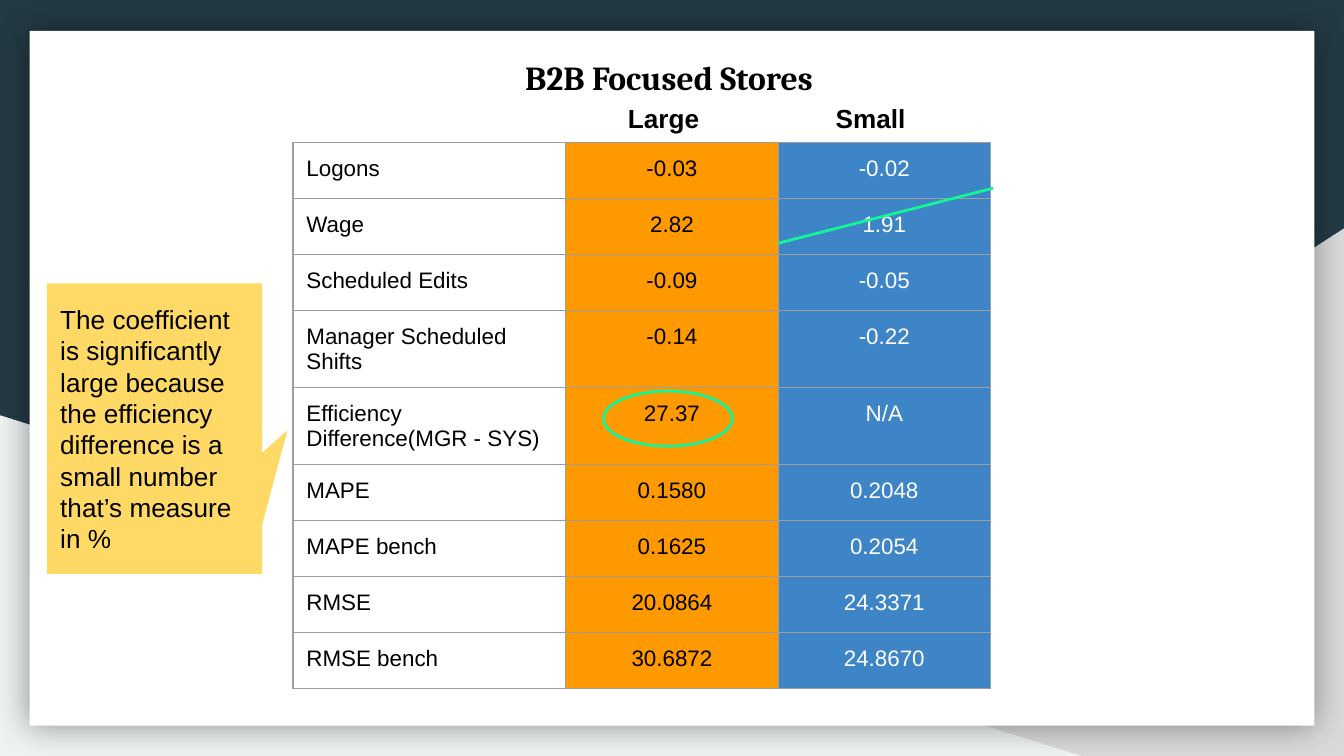
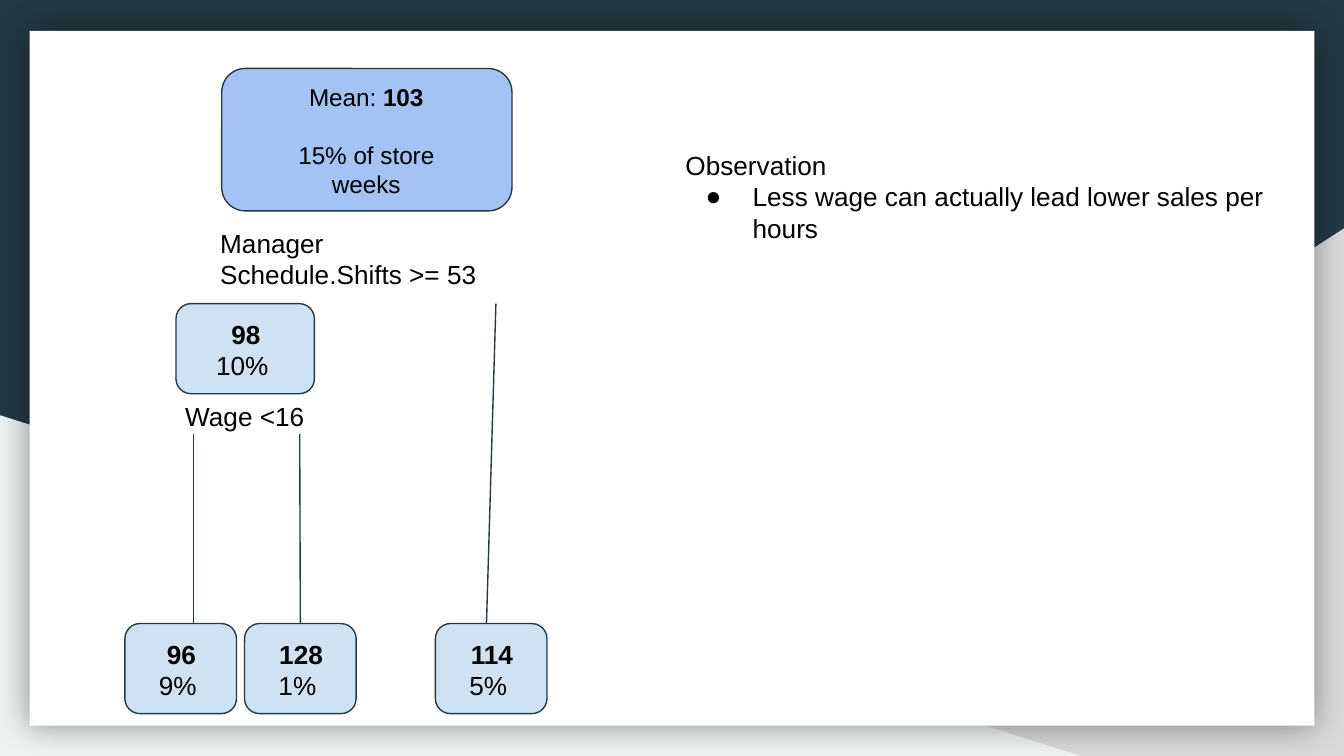
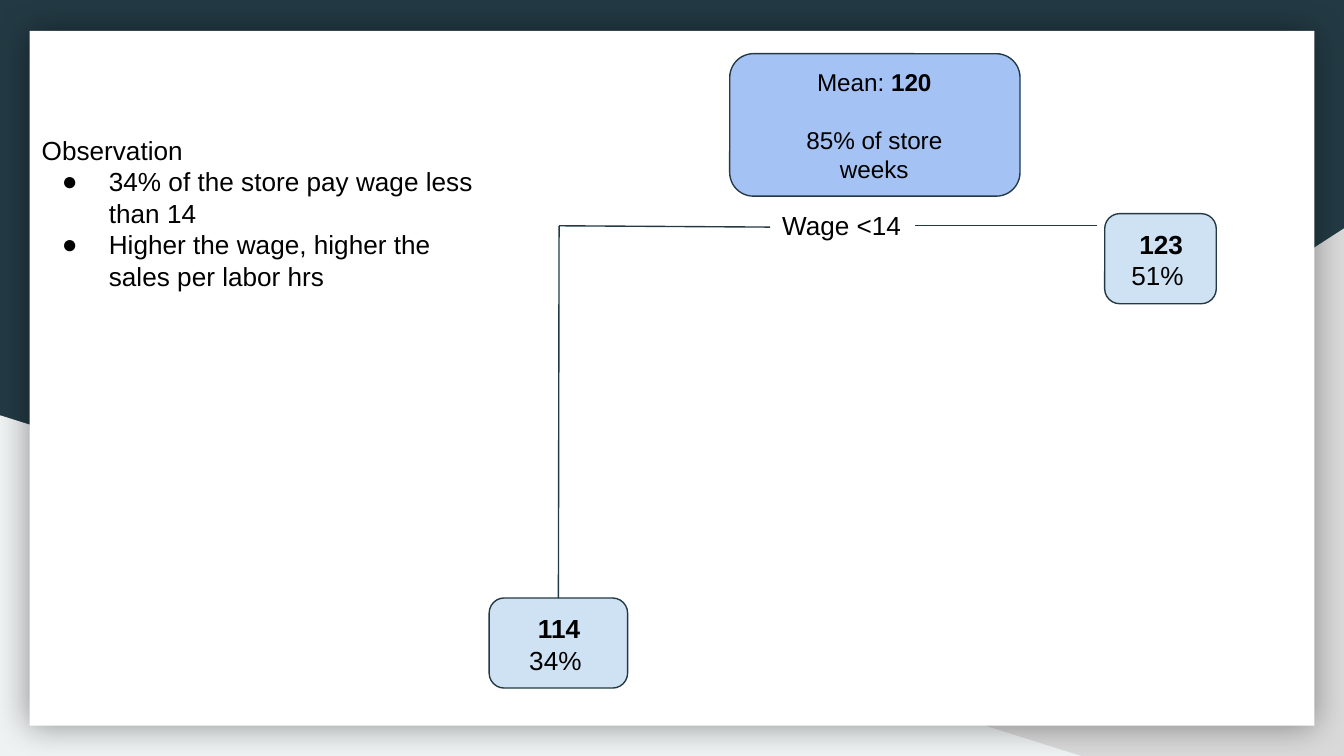
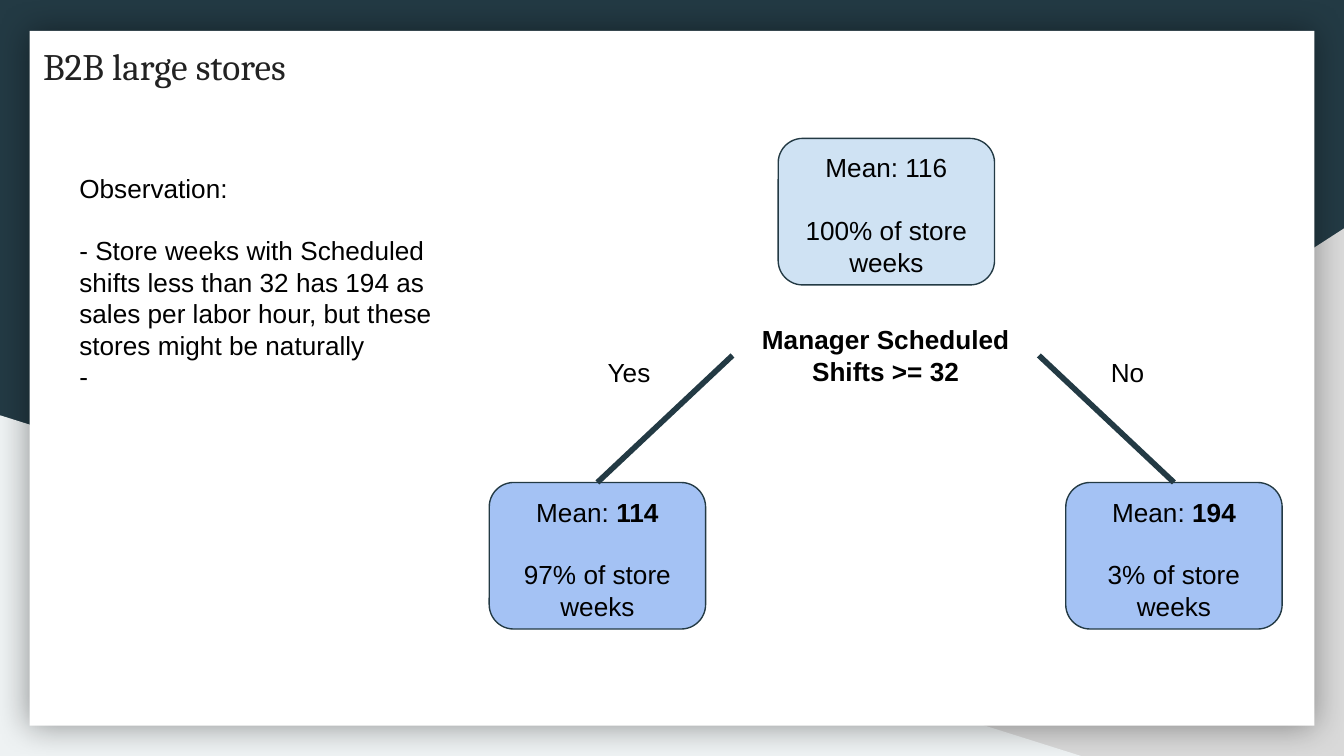
from lxml import etree
from pptx import Presentation
from pptx.dml.color import RGBColor
from pptx.enum.shapes import MSO_CONNECTOR, MSO_SHAPE
from pptx.enum.text import MSO_ANCHOR, MSO_AUTO_SIZE, PP_ALIGN
from pptx.oxml.ns import qn
from pptx.util import Inches, Pt

NAVY = RGBColor(0x23, 0x3A, 0x44)
GREY = RGBColor(0xD9, 0xD9, 0xD9)
MIST = RGBColor(0xEE, 0xF2, 0xF3)
WHITE = RGBColor(0xFF, 0xFF, 0xFF)
BLACK = RGBColor(0x00, 0x00, 0x00)
INK = RGBColor(0x22, 0x22, 0x22)
PALE = RGBColor(0xCF, 0xE2, 0xF3)
BLUE = RGBColor(0xA4, 0xC2, 0xF4)
ORANGE = RGBColor(0xFF, 0x99, 0x00)
AZURE = RGBColor(0x3D, 0x85, 0xC6)
GREEN = RGBColor(0x14, 0xF5, 0x97)
YELLOW = RGBColor(0xFF, 0xD9, 0x66)
RULE = RGBColor(0x9E, 0x9E, 0x9E)

LEFT, CENTER = PP_ALIGN.LEFT, PP_ALIGN.CENTER
TOP, MIDDLE = MSO_ANCHOR.TOP, MSO_ANCHOR.MIDDLE
FIXED, GROW = MSO_AUTO_SIZE.NONE, MSO_AUTO_SIZE.SHAPE_TO_FIT_TEXT
STRAIGHT = MSO_CONNECTOR.STRAIGHT
RECT, ROUND = MSO_SHAPE.RECTANGLE, MSO_SHAPE.ROUNDED_RECTANGLE
WEDGE, OVAL = MSO_SHAPE.RECTANGULAR_CALLOUT, MSO_SHAPE.OVAL
SLOPE = MSO_SHAPE.RIGHT_TRIANGLE

BACK = [
    (SLOPE, (3.92, 1.7, 6.08, 3.93), GREY),
    (SLOPE, (0, 3.09, 8.06, 2.54), MIST),
    (RECT, (0.22, 0.23, 9.56, 5.17), WHITE),
]

HEADS = [("Large ", 4.3), ("Small ", 5.84)]
ROWS = [
    ("Logons", "-0.03", "-0.02"),
    ("Wage", "2.82", "1.91"),
    ("Scheduled Edits", "-0.09", "-0.05"),
    ("Manager Scheduled Shifts", "-0.14", "-0.22"),
    ("Efficiency Difference(MGR - SYS)", "27.37", "N/A"),
    ("MAPE", "0.1580", "0.2048"),
    ("MAPE bench", "0.1625", "0.2054"),
    ("RMSE", "20.0864", "24.3371"),
    ("RMSE bench", "30.6872", "24.8670"),
]
COLS = [
    (2.03, LEFT, BLACK, None),
    (1.58, CENTER, BLACK, ORANGE),
    (1.58, CENTER, WHITE, AZURE),
]
NOTE = ("The coefficient is significantly large because the efficiency "
        "difference is a small number that’s measure in %")

TREES = [
    {
        "root": (1.65, 0.51, "103", "15% of store weeks"),
        "tests": [("Manager Schedule.Shifts >= 53", (1.54, 1.59, 2.36, 0.67)),
                  ("Wage <16", (1.28, 2.88, 1.1, 0.44))],
        "nodes": [(1.31, 2.26, 1.03, "98", "10% "),
                  (0.93, 4.64, 0.83, "96", "9% "),
                  (1.82, 4.64, 0.83, "128", "1% "),
                  (3.24, 4.64, 0.83, "114", "5% ")],
        "lines": [((3.69, 2.26), (3.62, 4.64), None),
                  ((1.44, 3.23), (1.44, 4.64), None),
                  ((2.23, 3.23), (2.23, 4.64), 2)],
        "body": (5, 1.01, 4.72, 1.14),
        "notes": ["Observation",
                  "Less wage can actually lead lower sales per hours"],
    },
    {
        "root": (5.43, 0.4, "120", "85% of store weeks"),
        "tests": [("Wage <14", (5.72, 1.46, 1.58, 0.44))],
        "nodes": [(3.64, 4.45, 1.03, "114", "34% "),
                  (8.22, 1.59, 0.83, "123", "51% ")],
        "lines": [((4.16, 1.68), (4.16, 4.45), 0),
                  ((4.16, 1.68), (5.73, 1.69), None),
                  ((6.81, 1.68), (8.16, 1.68), None)],
        "body": (0.21, 0.9, 3.44, 1.62),
        "notes": ["Observation",
                  "34% of the store pay wage less than 14",
                  "Higher the wage, higher the sales per labor hrs"],
    },
]

SPLIT = [
    (5.79, 1.03, PALE, "Mean: 116", "100% of store weeks"),
    (3.64, 3.59, BLUE, ("Mean: ", "114"), "97% of store weeks"),
    (7.93, 3.59, BLUE, ("Mean: ", "194"), "3% of store weeks"),
]
SIDES = [("Yes", 4.32, 1), ("No", 8.03, 3)]
LARGE = [
    "Observation:",
    "- Store weeks with Scheduled shifts less than 32 has 194 as sales per "
    "labor hour, but these stores might be naturally",
    "-",
]


def area(box):
    return [Inches(n) for n in box]


def put(shape, box):
    shape.left, shape.top, shape.width, shape.height = area(box)


def style(run, size, bold=False, color=BLACK, face="Arial"):
    font = run.font
    font.size, font.bold, font.name = Pt(size), bold, face
    font.color.rgb = color


def write(frame, paras, size=14, align=LEFT, bold=False, color=BLACK,
          face="Arial", gap=False, anchor=TOP, fit=FIXED):
    frame.word_wrap, frame.auto_size = True, fit
    frame.vertical_anchor = anchor
    frame.margin_left = frame.margin_right = Inches(0.1)
    frame.margin_top = frame.margin_bottom = Inches(0.1)
    for i, item in enumerate(paras):
        para = frame.add_paragraph() if i else frame.paragraphs[0]
        plain, strong = item if isinstance(item, tuple) else (item, "")
        para.text = plain
        para.alignment = align
        para.space_before = Pt(size * 1.2 if gap and i == 1 else 0)
        for run in para.runs:
            style(run, size, bold, color, face)
        if strong:
            run = para.add_run()
            run.text = strong
            style(run, size, True, color, face)


def label(slide, box, paras, fit=GROW, **look):
    text = slide.shapes.add_textbox(*area(box))
    write(text.text_frame, paras, fit=fit, **look)
    return text


def draw(slide, kind, box, fill=None, line=None, width=0.75):
    shape = slide.shapes.add_shape(kind, *area(box))
    shape.shadow.inherit = False
    if fill is None:
        shape.fill.background()
    else:
        shape.fill.solid()
        shape.fill.fore_color.rgb = fill
    if line is None:
        shape.line.fill.background()
    else:
        shape.line.color.rgb = line
        shape.line.width = Pt(width)
    return shape


def link(slide, start, end, color=NAVY, width=0.75):
    line = slide.shapes.add_connector(STRAIGHT, *area(start + end))
    line.line.color.rgb = color
    line.line.width = Pt(width)
    etree.SubElement(line.element.spPr, qn("a:effectLst"))
    return line


def title(slide, box, text, **look):
    head = slide.shapes.title
    put(head, box)
    write(head.text_frame, [text], face="Cambria", **look)


def bullet(para, on):
    props = para._p.get_or_add_pPr()
    props.set("marL", str(Inches(0.5) if on else 0))
    props.set("indent", str(Inches(-0.35) if on else 0))
    if not on:
        etree.SubElement(props, qn("a:buNone"))
        return
    tint = etree.SubElement(props, qn("a:buClr"))
    etree.SubElement(tint, qn("a:srgbClr"), val=str(BLACK))
    etree.SubElement(props, qn("a:buFont"), typeface="Arial")
    etree.SubElement(props, qn("a:buChar"), char="●")


def notes(slide, box, paras, dots=True, gap=False):
    body = slide.placeholders[1]
    put(body, box)
    write(body.text_frame, paras, gap=gap)
    for i, para in enumerate(body.text_frame.paragraphs):
        bullet(para, dots and i > 0)


def backdrop(master, slide):
    fill = master.background.fill
    fill.solid()
    fill.fore_color.rgb = NAVY
    parts = [draw(slide, *part) for part in BACK]
    parts[0].element.spPr.find(qn("a:xfrm")).set("flipH", "1")
    glow = etree.SubElement(parts[2].element.spPr.find(qn("a:effectLst")),
                            qn("a:outerShdw"), blurRad=str(Pt(18)), dist="0")
    tint = etree.SubElement(glow, qn("a:srgbClr"), val=str(BLACK))
    etree.SubElement(tint, qn("a:alpha"), val="40000")
    for i, part in enumerate(parts):
        part.element.nvSpPr.cNvPr.set("id", str(20 + i))
        master.shapes.element.insert(2 + i, part.element)


def border(cell):
    props = cell._tc.get_or_add_tcPr()
    for i, side in enumerate(("lnL", "lnR", "lnT", "lnB")):
        edge = etree.Element(qn("a:" + side), w=str(Pt(0.75)))
        solid = etree.SubElement(edge, qn("a:solidFill"))
        etree.SubElement(solid, qn("a:srgbClr"), val=str(RULE))
        props.insert(i, edge)


def grid(slide):
    box = (2.18, 1.06, 3.28, 3.28)
    frame = slide.shapes.add_table(len(ROWS), len(COLS), *area(box))
    table = frame.table
    table.first_row = table.horz_banding = False
    for c, (width, align, color, fill) in enumerate(COLS):
        table.columns[c].width = Inches(width)
        for r, row in enumerate(ROWS):
            table.rows[r].height = Pt(30)
            cell = table.cell(r, c)
            cell.margin_left = cell.margin_right = Inches(0.1)
            cell.margin_top = cell.margin_bottom = Inches(0.1)
            para = cell.text_frame.paragraphs[0]
            para.text = row[c]
            para.alignment = align
            style(para.runs[0], 12, color=color)
            if fill is None:
                cell.fill.background()
            else:
                cell.fill.solid()
                cell.fill.fore_color.rgb = fill
            border(cell)
    put(frame, box)


def stores(slide):
    title(slide, (0.9, 0.32, 8.21, 0.41), "B2B Focused Stores ",
          size=18, align=CENTER, bold=True)
    for text, x in HEADS:
        label(slide, (x, 0.66, 1.33, 0.41), [text], FIXED,
              align=CENTER, bold=True)
    grid(slide)
    link(slide, (5.79, 1.81), (7.39, 1.4), GREEN, 1.5)
    draw(slide, OVAL, (4.49, 2.91, 0.96, 0.41), line=GREEN, width=1.5)
    note = draw(slide, WEDGE, (0.35, 2.11, 1.6, 2.16), YELLOW)
    note.adjustments[0], note.adjustments[1] = 0.618, 0.006
    write(note.text_frame, [NOTE], anchor=MIDDLE)


def tree(slide, data):
    head = slide.shapes.title.element
    head.getparent().remove(head)
    x, y, mean, share = data["root"]
    draw(slide, ROUND, (x, y, 2.16, 1.06), BLUE, NAVY)
    label(slide, (x + 0.24, y, 1.67, 1.08), [("Mean: ", mean), share],
          size=13, align=CENTER, gap=True)
    for text, box in data["tests"]:
        label(slide, box, [text])
    nodes = []
    for x, y, wide, mean, share in data["nodes"]:
        nodes.append(draw(slide, ROUND, (x, y, wide, 0.67), PALE, NAVY))
        label(slide, (x + 0.06, y + 0.01, wide - 0.11, 0.67),
              [("", mean), share], align=CENTER)
    for start, end, node in data["lines"]:
        line = link(slide, start, end)
        if node is not None:
            line.end_connect(nodes[node], 0)
    notes(slide, data["body"], data["notes"])


def split(slide):
    title(slide, (0.22, 0.22, 7.83, 0.93), "B2B large stores",
          size=20, color=INK)
    boxes = []
    for x, y, fill, mean, share in SPLIT:
        boxes.append(draw(slide, ROUND, (x, y, 1.61, 1.09), fill, NAVY))
        label(slide, (x + 0.1, y, 1.41, 1.14), [mean, share],
              align=CENTER, gap=True)
    test = label(slide, (5.45, 2.31, 2.28, 0.67),
                 ["Manager Scheduled Shifts >= 32"], align=CENTER, bold=True)
    for (text, x, side), box in zip(SIDES, boxes[1:]):
        label(slide, (x, 2.55, 0.72, 0.44), [text], align=CENTER)
        line = link(slide, (0, 0), (1, 1), width=3)
        line.begin_connect(test, side)
        line.end_connect(box, 0)
    notes(slide, (0.49, 1.18, 2.88, 3.27), LARGE, dots=False, gap=True)


def main():
    deck = Presentation()
    deck.slide_width = Inches(10)
    deck.slide_height = deck.slide_width * 9 // 16
    full, plain = deck.slide_layouts[1], deck.slide_layouts[5]
    first = deck.slides.add_slide(plain)
    backdrop(deck.slide_master, first)
    stores(first)
    for data in TREES:
        tree(deck.slides.add_slide(full), data)
    split(deck.slides.add_slide(full))
    deck.save("out.pptx")


if __name__ == "__main__":
    main()
